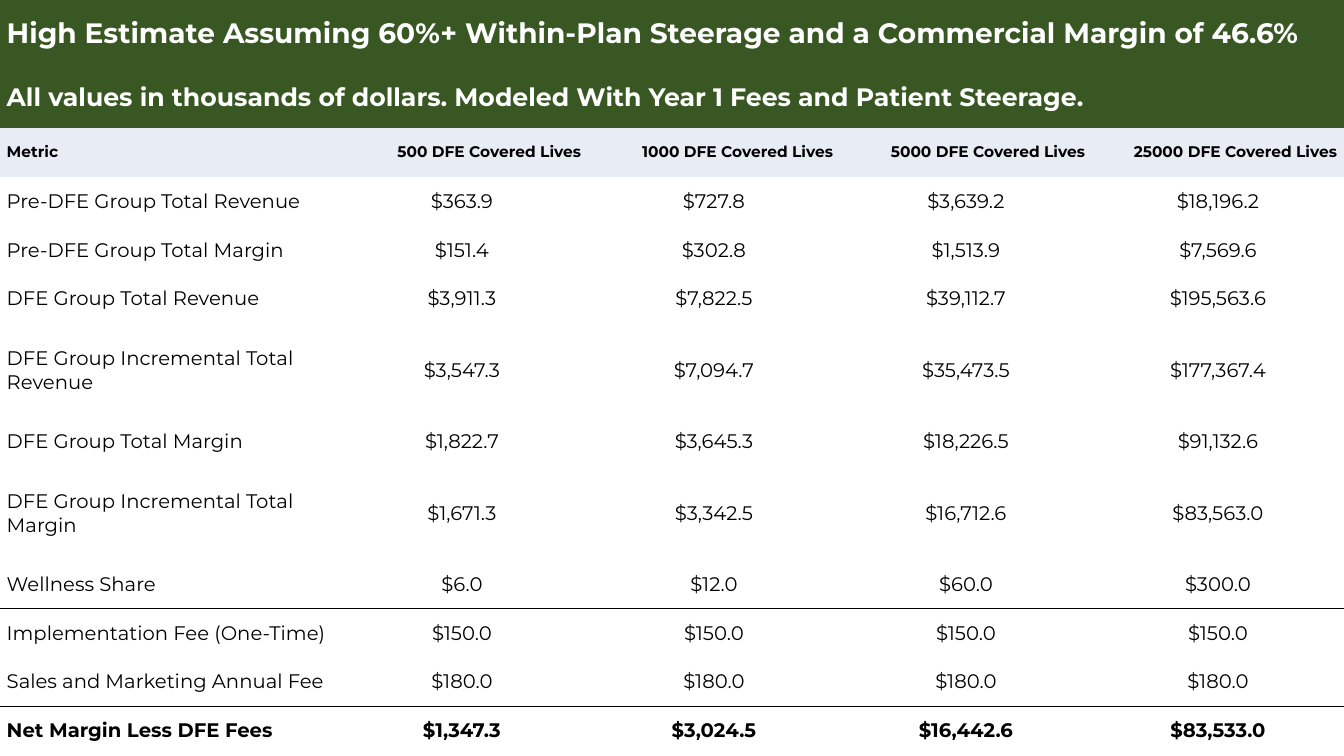
from lxml import etree
from pptx import Presentation
from pptx.dml.color import RGBColor
from pptx.enum.text import MSO_ANCHOR, PP_ALIGN
from pptx.oxml.ns import qn
from pptx.util import Emu, Pt

FONT = "Montserrat"
GREEN, PALE, WHITE, BLACK = "385723", "E7ECF5", "FFFFFF", "000000"
NO_STYLE = "{2D5ABB26-0587-4C30-8999-92F81FD0307C}"
COLUMN_WIDTHS = [400] + [300] * 4
TOP_HEIGHTS, ROW_HEIGHT, TALL_HEIGHT = [80, 72, 59], 58, 112

TITLES = [
    ("High Estimate Assuming 60%+ Within-Plan Steerage and a Commercial Margin of 46.6%", 20),
    ("All values in thousands of dollars. Modeled With Year 1 Fees and Patient Steerage.", 18),
]
HEADER = ["Metric"] + [f"{lives} DFE Covered Lives" for lives in (500, 1000, 5000, 25000)]
METRICS = [
    ("Pre-DFE Group Total Revenue", "$363.9", "$727.8", "$3,639.2", "$18,196.2"),
    ("Pre-DFE Group Total Margin", "$151.4", "$302.8", "$1,513.9", "$7,569.6"),
    ("DFE Group Total Revenue", "$3,911.3", "$7,822.5", "$39,112.7", "$195,563.6"),
    ("DFE Group Incremental Total Revenue", "$3,547.3", "$7,094.7", "$35,473.5", "$177,367.4"),
    ("DFE Group Total Margin", "$1,822.7", "$3,645.3", "$18,226.5", "$91,132.6"),
    ("DFE Group Incremental Total Margin", "$1,671.3", "$3,342.5", "$16,712.6", "$83,563.0"),
    ("Wellness Share", "$6.0", "$12.0", "$60.0", "$300.0"),
    ("Implementation Fee (One-Time)",) + ("$150.0",) * 4,
    ("Sales and Marketing Annual Fee",) + ("$180.0",) * 4,
    ("Net Margin Less DFE Fees", "$1,347.3", "$3,024.5", "$16,442.6", "$83,533.0"),
]
RULED_BELOW = {"Wellness Share", "Sales and Marketing Annual Fee"}


def px(n):
    return Emu(n * 7620)


def rgb(color):
    return RGBColor.from_string(color)


def write(cell, text, size=14, color=BLACK, bold=False, align=PP_ALIGN.LEFT):
    cell.vertical_anchor = MSO_ANCHOR.MIDDLE
    p = cell.text_frame.paragraphs[0]
    p.alignment = align
    r = p.add_run()
    r.text = text
    r.font.name, r.font.size, r.font.bold = FONT, Pt(size), bold
    r.font.color.rgb = rgb(color)


def fill_cell(cell, color=None):
    """Fill the cell, or leave it clear, and set its margins."""
    cell.margin_left = cell.margin_right = px(8)
    cell.margin_top = cell.margin_bottom = 0
    if color:
        cell.fill.solid()
        cell.fill.fore_color.rgb = rgb(color)
    else:
        cell.fill.background()


def rule_cell(cell, ruled_sides):
    """Draw black lines on the given sides, and no line on the others."""
    for i, side in enumerate("LRTB"):
        ln = etree.Element(qn(f"a:ln{side}"), w=str(Pt(1)))
        if side in ruled_sides:
            solid = etree.SubElement(ln, qn("a:solidFill"))
            etree.SubElement(solid, qn("a:srgbClr"), val=BLACK)
        else:
            etree.SubElement(ln, qn("a:noFill"))
        cell._tc.get_or_add_tcPr().insert(i, ln)


def add_estimate_table(slide):
    heights = TOP_HEIGHTS + [
        TALL_HEIGHT if "Incremental" in metric[0] else ROW_HEIGHT for metric in METRICS]
    table = slide.shapes.add_table(
        len(heights), len(COLUMN_WIDTHS), 0, 0, px(sum(COLUMN_WIDTHS)), px(sum(heights))).table
    table.first_row = table.horz_banding = False
    table._tbl.tblPr.find(qn("a:tableStyleId")).text = NO_STYLE
    for column, width in zip(table.columns, COLUMN_WIDTHS):
        column.width = px(width)
    for row, height in zip(table.rows, heights):
        row.height = px(height)
    return table


def fill_titles(table):
    last = len(COLUMN_WIDTHS) - 1
    for i, (text, size) in enumerate(TITLES):
        for cell in table.rows[i].cells:
            fill_cell(cell, GREEN)
        table.cell(i, 0).merge(table.cell(i, last))
        write(table.cell(i, 0), text, size=size, color=WHITE, bold=True)


def fill_row(row, texts, align, fill=None, **format):
    """Write a label on the left and the other texts with the given alignment."""
    for j, (cell, text) in enumerate(zip(row.cells, texts)):
        fill_cell(cell, fill)
        write(cell, text, align=align if j else PP_ALIGN.LEFT, **format)


def fill_metrics(table):
    ruled_above = False
    for i, metric in enumerate(METRICS, len(TOP_HEIGHTS)):
        row = table.rows[i]
        ruled_below = metric[0] in RULED_BELOW
        fill_row(row, metric, PP_ALIGN.CENTER, bold=metric is METRICS[-1])
        for cell in row.cells:
            rule_cell(cell, "T" * ruled_above + "B" * ruled_below)
        ruled_above = ruled_below


def main():
    prs = Presentation()
    prs.slide_width, prs.slide_height = px(1600), px(900)
    s = prs.slides.add_slide(prs.slide_layouts[6])
    table = add_estimate_table(s)
    fill_titles(table)
    fill_row(table.rows[len(TITLES)], HEADER, PP_ALIGN.RIGHT, fill=PALE, size=11, bold=True)
    fill_metrics(table)
    prs.save("out.pptx")


if __name__ == "__main__":
    main()
